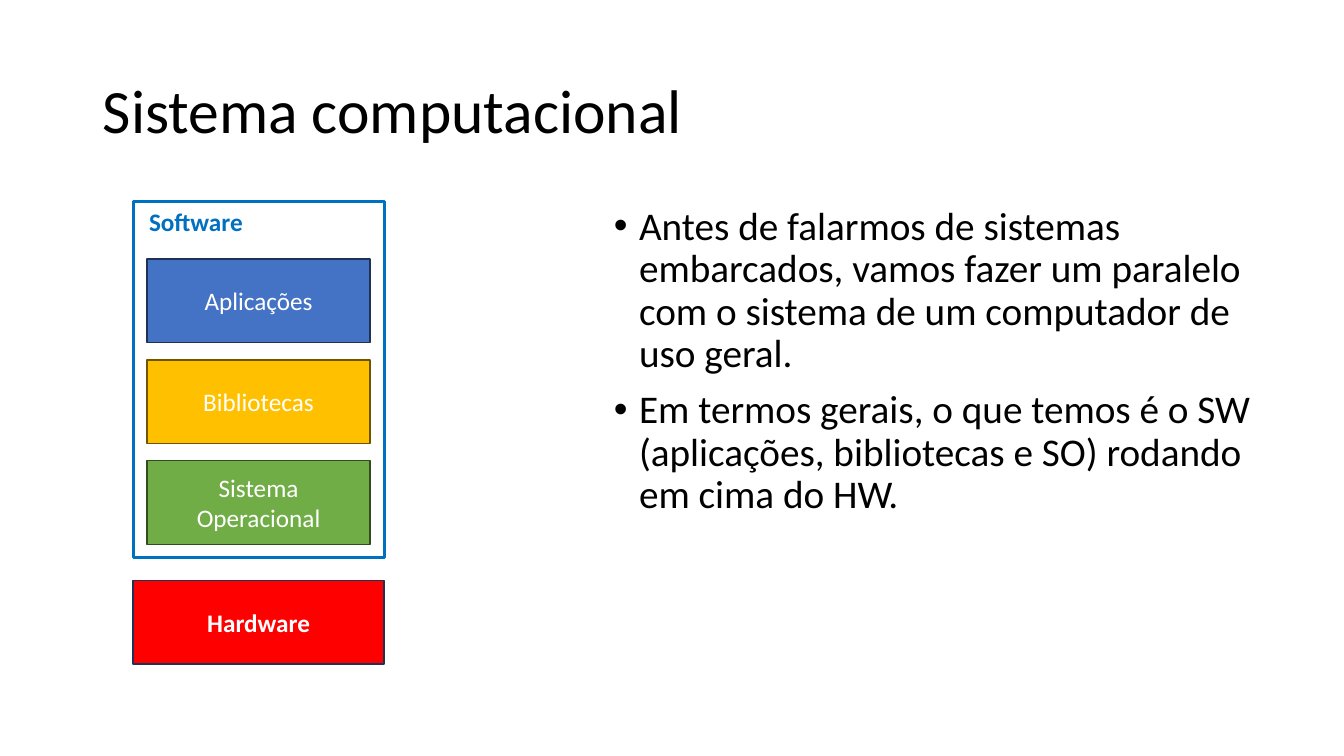
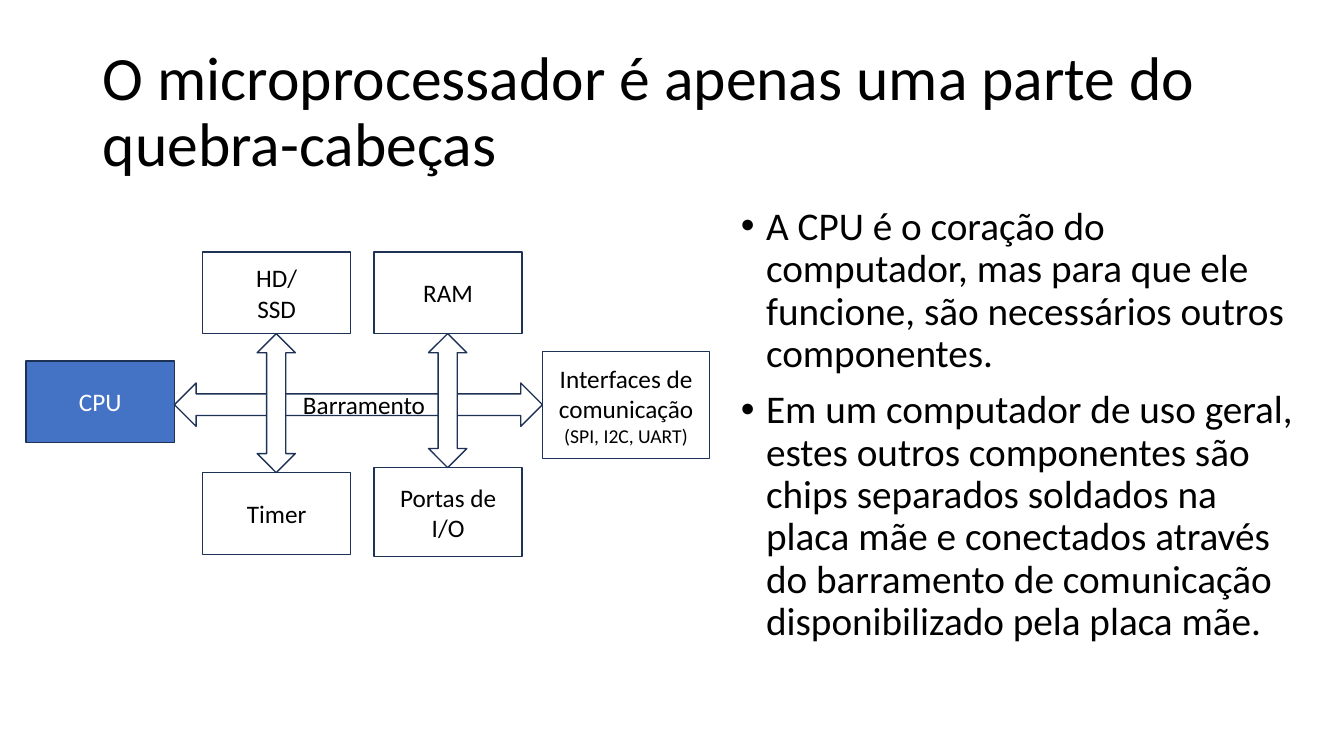
from lxml import etree
from pptx import Presentation
from pptx import util as u
from pptx.dml.color import RGBColor
from pptx.enum import shapes, text
from pptx.oxml.ns import qn

PX = 9144  # EMU in one px, 100 px to the inch
FONT = "Calibri"
COLORS = {
    "black": "000000",
    "white": "FFFFFF",
    "blue": "4472C4",
    "navy": "1E3256",
    "gold": "FFC000",
    "brown": "705400",
    "green": "70AD47",
    "moss": "314C1F",
    "red": "FF0000",
    "azure": "0070C0",
}
MIDDLE = text.MSO_ANCHOR.MIDDLE
LEFT, CENTER = text.PP_ALIGN.LEFT, text.PP_ALIGN.CENTER
SHAPE = shapes.MSO_SHAPE


def px(n):
    return u.Emu(n * PX)


def rgb(name):
    return RGBColor.from_string(COLORS[name])


def add_run(p, words, size, color="black", bold=False):
    r = p.add_run()
    r.text = words
    r.font.name = FONT
    r.font.size = u.Pt(size)
    r.font.bold = bold
    r.font.color.rgb = rgb(color)


def next_paragraph(tf, i):
    return tf.paragraphs[0] if i == 0 else tf.add_paragraph()


def add_titled_slide(prs, title):
    s = prs.slides.add_slide(prs.slide_layouts[5])
    sp = s.shapes.title
    sp.left, sp.top, sp.width, sp.height = map(px, (92, 40, 1150, 145))
    tf = sp.text_frame
    tf.word_wrap = True
    tf.auto_size = text.MSO_AUTO_SIZE.NONE
    tf.vertical_anchor = MIDDLE
    p = tf.paragraphs[0]
    p.alignment = LEFT
    p.line_spacing = 0.9
    add_run(p, title, 44)
    return s


def add_textbox(s, x, y, w, h):
    tf = s.shapes.add_textbox(px(x), px(y), px(w), px(h)).text_frame
    tf.word_wrap = True
    return tf


def add_bullets(s, x, y, w, h, items):
    tf = add_textbox(s, x, y, w, h)
    for i, item in enumerate(items):
        p = next_paragraph(tf, i)
        pPr = p._p.get_or_add_pPr()
        pPr.set("marL", str(px(25)))
        pPr.set("indent", str(px(-25)))
        etree.SubElement(pPr, qn("a:buFont")).set("typeface", "Arial")
        etree.SubElement(pPr, qn("a:buChar")).set("char", "•")
        p.line_spacing = 0.9
        if i:
            p.space_before = u.Pt(10)
        add_run(p, item, 28)


def add_block(s, x, y, w, h, lines=(), fill=None, line="navy", color="black",
              bold=False, width=1, kind=SHAPE.RECTANGLE):
    """Outlined shape; lines holds (words, size) pairs, one a paragraph."""
    sp = s.shapes.add_shape(kind, px(x), px(y), px(w), px(h))
    sp.shadow.inherit = False
    if fill:
        sp.fill.solid()
        sp.fill.fore_color.rgb = rgb(fill)
    else:
        sp.fill.background()
    sp.line.color.rgb = rgb(line)
    sp.line.width = u.Pt(width)
    tf = sp.text_frame
    tf.word_wrap = True
    tf.vertical_anchor = MIDDLE
    for i, (words, size) in enumerate(lines):
        p = next_paragraph(tf, i)
        p.alignment = CENTER
        add_run(p, words, size, color, bold)
    return sp


def build_system_slide(prs):
    s = add_titled_slide(prs, "Sistema computacional")
    add_bullets(s, 599, 200, 694, 476, [
        "Antes de falarmos de sistemas embarcados, vamos fazer um paralelo "
        "com o sistema de um computador de uso geral.",
        "Em termos gerais, o que temos é o SW (aplicações, bibliotecas e SO) "
        "rodando em cima do HW.",
    ])

    # Software layers, evenly stacked
    layers = [
        ("Aplicações", "blue", "navy"),
        ("Bibliotecas", "gold", "brown"),
        ("Sistema Operacional", "green", "moss"),
    ]
    for i, (name, fill, line) in enumerate(layers):
        add_block(s, 146, 257 + 100 * i, 221, 83, [(name, 18)],
                  fill, line, "white")

    # Hardware base and software frame
    add_block(s, 132, 576, 249, 83, [("Hardware", 18)], "red",
              color="white", bold=True)
    label = add_textbox(s, 138, 200, 142, 40)
    add_run(label.paragraphs[0], "Software", 18, "azure", True)
    add_block(s, 132, 200, 249, 353, line="azure", width=2.25)


def build_bus_slide(prs):
    s = add_titled_slide(
        prs, "O microprocessador é apenas uma parte do quebra-cabeças")
    add_bullets(s, 725, 200, 582, 523, [
        "A CPU é o coração do computador, mas para que ele funcione, são "
        "necessários outros componentes.",
        "Em um computador de uso geral, estes outros componentes são chips "
        "separados soldados na placa mãe e conectados através do barramento "
        "de comunicação disponibilizado pela placa mãe.",
    ])

    # Components around the bus
    left_col, right_col, box_w, box_h = 201, 371, 147, 81
    add_block(s, 26, 358, box_w, box_h, [("CPU", 18)], "blue", color="white")
    components = [
        (right_col, 250, box_w, box_h, [("RAM", 18)]),
        (left_col, 250, box_w, box_h, [("HD/", 18), ("SSD", 18)]),
        (left_col, 469, box_w, box_h, [("Timer", 18)]),
        (right_col, 464, box_w, 88, [("Portas de I/O", 18)]),
        (538, 349, 166, 106,
         [("Interfaces de comunicação", 18), ("(SPI, I2C, UART)", 14)]),
    ]
    for component in components:
        add_block(s, *component)

    # Bus, then the branches that cross it
    bus = add_block(s, 173, 380, 365, 43, [("Barramento", 18)], "white",
                    kind=SHAPE.LEFT_RIGHT_ARROW)
    bus.text_frame.margin_left = px(21)
    branch_w, branch_top = 38, 331
    for col, bottom in ((left_col, 469), (right_col, 464)):
        add_block(s, col + (box_w - branch_w) // 2, branch_top, branch_w,
                  bottom - branch_top, fill="white",
                  kind=SHAPE.UP_DOWN_ARROW)


def main():
    prs = Presentation()
    prs.slide_width, prs.slide_height = px(1333), px(750)
    build_system_slide(prs)
    build_bus_slide(prs)
    prs.save("out.pptx")


if __name__ == "__main__":
    main()
